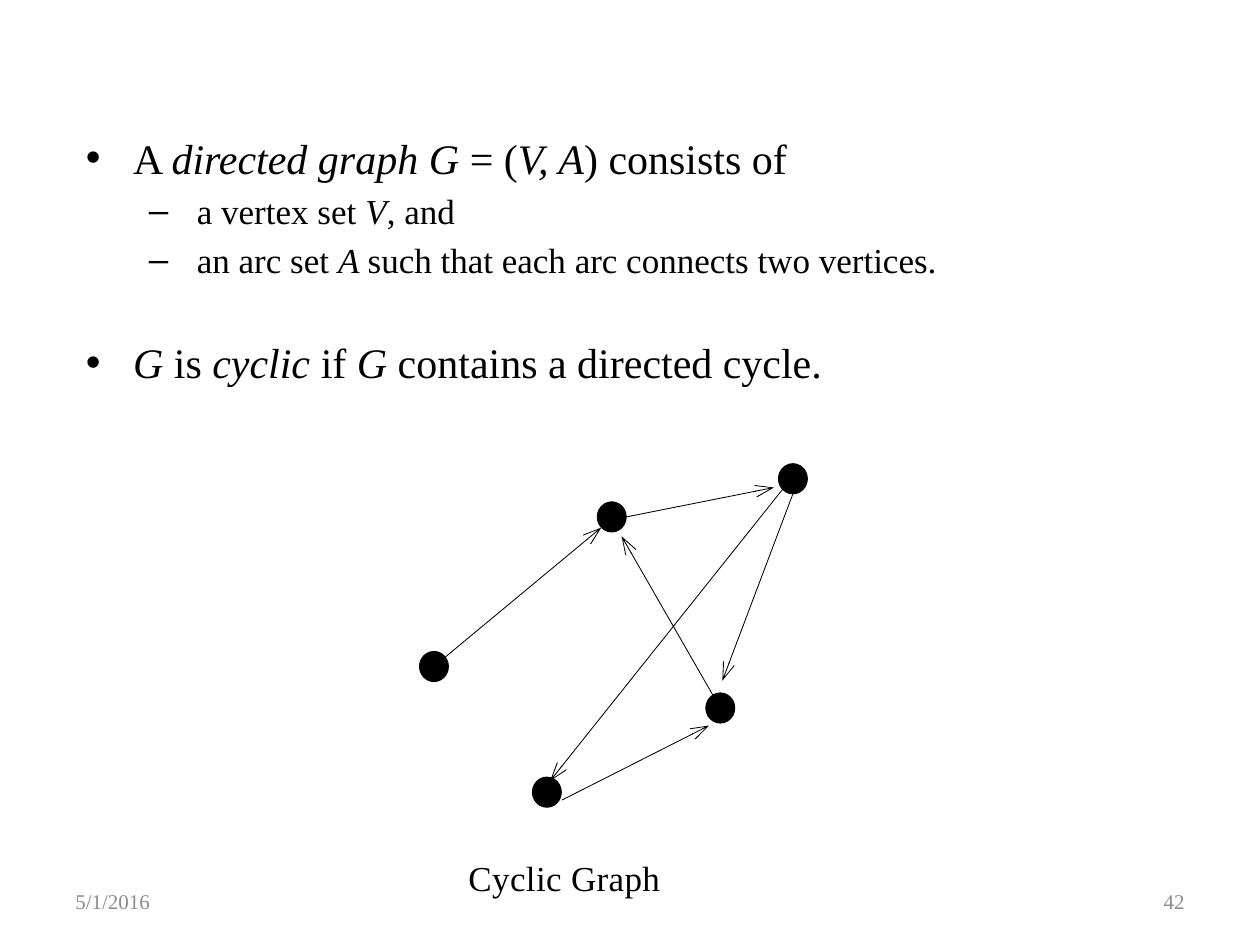
from dataclasses import dataclass
from typing import NamedTuple

from lxml.etree import SubElement
from pptx import Presentation
from pptx.dml.color import RGBColor
from pptx.enum.shapes import MSO_CONNECTOR as Connector, MSO_SHAPE as Shape
from pptx.enum.text import MSO_ANCHOR as Anchor, MSO_AUTO_SIZE as AutoSize, PP_ALIGN as Align
from pptx.oxml.ns import qn
from pptx.util import Pt


@dataclass(frozen=True)
class Theme:
    """Colours, font and sizes in points."""
    font: str = "Times New Roman"
    ink: RGBColor = RGBColor(0, 0, 0)
    muted: RGBColor = RGBColor(0x8C, 0x8C, 0x8C)
    levels: tuple = (24, 20)
    caption: float = 20
    footer: float = 12
    line: float = 0.47
    dot_width: float = 16.6
    dot_height: float = 17.3


class Item(NamedTuple):
    """A bullet; every second piece of its text is italic."""
    level: int
    before: float
    pieces: tuple


class Vertex(NamedTuple):
    """Centre of a graph vertex."""
    x: float
    y: float


class Arc(NamedTuple):
    """Start and tip of an arrow."""
    x1: float
    y1: float
    x2: float
    y2: float


class Label(NamedTuple):
    """A single-line text box."""
    text: str
    box: tuple
    size: float
    color: RGBColor
    align: Align
    anchor: Anchor
    margins: tuple
    spacing: int


THEME = Theme()
INDENTS = ((27, -27), (63.5, -27.5))
FOOTER_MARGINS = (7.2, 3.6, 7.2, 3.6)

ITEMS = (
    Item(0, 4.8, ("A ", "directed graph G ", "= (", "V, A", ") consists of")),
    Item(1, 4, ("a vertex set ", "V", ", and")),
    Item(1, 4, ("an arc set ", "A ", "such that each arc connects two vertices.")),
    Item(0, 31.8, ("", "G ", "is ", "cyclic ", "if ", "G ", "contains a directed cycle.")),
)
VERTICES = (
    Vertex(349.6, 295.4), Vertex(248, 380.9), Vertex(312.5, 452.7),
    Vertex(411.6, 404.6), Vertex(453.1, 273.6),
)
ARCS = (
    Arc(250.6, 378.7, 343.6, 301.5),
    Arc(357.8, 295.4, 442.3, 278.6),
    Arc(453.1, 282.2, 412.8, 389),
    Arc(411.6, 404.6, 355.2, 306.4),
    Arc(448.6, 277.9, 314.4, 446.2),
    Arc(321.1, 457.2, 405.2, 414.6),
)
LABELS = (
    Label("5/1/2016", (36, 500.5, 168, 28.8), THEME.footer, THEME.muted,
          Align.LEFT, Anchor.MIDDLE, FOOTER_MARGINS, 0),
    Label("42", (516, 500.5, 168, 28.8), THEME.footer, THEME.muted,
          Align.RIGHT, Anchor.MIDDLE, FOOTER_MARGINS, 0),
    Label("Cyclic Graph", (265.7, 489.6, 128.2, 24.5), THEME.caption, THEME.ink,
          Align.LEFT, Anchor.TOP, (2, 0, 0, 0), 20),
)


def assign(target, values: dict) -> None:
    """Set attributes from a dict of format values."""
    for name, value in values.items():
        setattr(target, name, value)


def place(s, box: tuple) -> None:
    """Move and size a shape."""
    assign(s, dict(zip(("left", "top", "width", "height"), map(Pt, box))))


def add_run(p, text: str, size: float, color: RGBColor, italic: bool = False):
    """Append a formatted run."""
    r = p.add_run()
    r.text = text
    assign(r.font, {"name": THEME.font, "size": Pt(size), "italic": italic})
    r.font.color.rgb = color
    return r


def fill_body(s, items: tuple) -> None:
    """Write the bullet list into the body placeholder."""
    place(s, (41.8, 72, 648, 410.4))
    tf = s.text_frame
    tf.auto_size = AutoSize.NONE
    for i, item in enumerate(items):
        p = tf.add_paragraph() if i else tf.paragraphs[0]
        assign(p, {"level": item.level, "space_before": Pt(item.before)})
        margin, indent = INDENTS[item.level]
        pPr = p._p.get_or_add_pPr()
        pPr.set("marL", str(Pt(margin)))
        pPr.set("indent", str(Pt(indent)))
        for k, text in enumerate(item.pieces):
            if text:
                add_run(p, text, THEME.levels[item.level], THEME.ink, k % 2 == 1)


def add_vertex(shapes, vertex: Vertex) -> None:
    """Draw a filled dot around its centre."""
    w, h = THEME.dot_width, THEME.dot_height
    s = shapes.add_shape(Shape.OVAL, Pt(vertex.x - w / 2), Pt(vertex.y - h / 2), Pt(w), Pt(h))
    s.shadow.inherit = False
    s.fill.solid()
    s.fill.fore_color.rgb = THEME.ink
    s.line.color.rgb = THEME.ink
    s.line.width = Pt(THEME.line)


def add_arc(shapes, arc: Arc) -> None:
    """Draw a thin line with an open arrowhead at its tip."""
    s = shapes.add_connector(Connector.STRAIGHT, *map(Pt, arc))
    s.line.color.rgb = THEME.ink
    s.line.width = Pt(THEME.line)
    SubElement(s.line._get_or_add_ln(), qn("a:tailEnd"), type="arrow", w="med", len="lg")
    SubElement(s._element.spPr, qn("a:effectLst"))


def add_label(shapes, label: Label) -> None:
    """Add a text box with one line of text."""
    s = shapes.add_textbox(*map(Pt, label.box))
    tf = s.text_frame
    sides = ("margin_left", "margin_top", "margin_right", "margin_bottom")
    assign(tf, {"word_wrap": True, "vertical_anchor": label.anchor,
                **dict(zip(sides, map(Pt, label.margins)))})
    p = tf.paragraphs[0]
    p.alignment = label.align
    r = add_run(p, label.text, label.size, label.color)
    if label.spacing:
        r.font._element.set("spc", str(label.spacing))


def build() -> None:
    """Build and save the slide."""
    prs = Presentation()
    assign(prs, {"slide_width": Pt(720), "slide_height": Pt(540)})
    slide = prs.slides.add_slide(prs.slide_layouts[1])
    shapes = slide.shapes
    title = shapes.title._element
    title.getparent().remove(title)
    fill_body(slide.placeholders[1], ITEMS)
    for draw, parts in ((add_vertex, VERTICES), (add_arc, ARCS), (add_label, LABELS)):
        for part in parts:
            draw(shapes, part)
    prs.save("out.pptx")


build()
